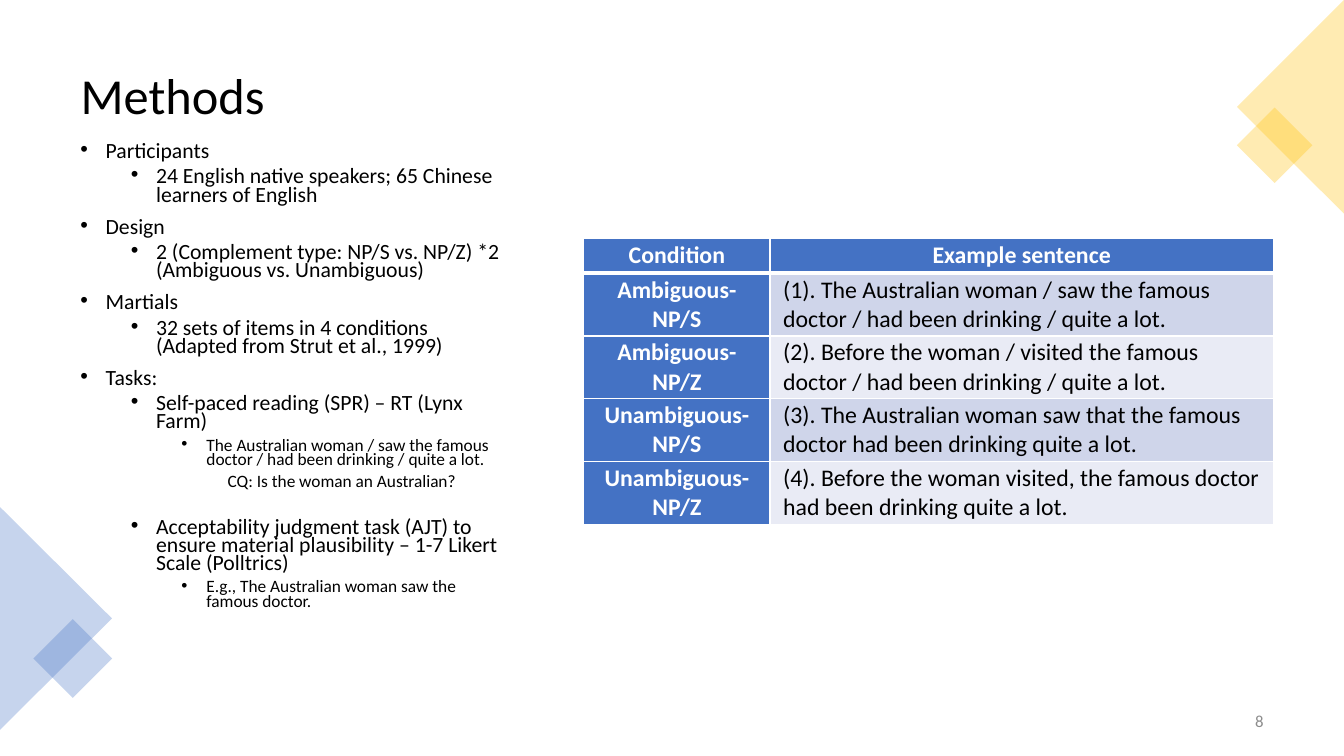
from dataclasses import dataclass

from lxml import etree
from pptx import Presentation
from pptx import util as u
from pptx.dml.color import RGBColor
from pptx.enum import shapes, text
from pptx.oxml.ns import qn


@dataclass(frozen=True)
class Theme:
    font: str = "Calibri"
    ink: str = "000000"
    paper: str = "FFFFFF"
    muted: str = "8C8C8C"
    blue: str = "4472C4"
    gold: str = "FFC000"
    bands: tuple = ("CFD5EA", "E9EBF5")
    title: float = 36
    topic: float = 15.5
    example: float = 12.4
    table: float = 17
    number: float = 12


@dataclass(frozen=True)
class Box:
    left: float
    top: float
    width: float
    height: float

    def share(self, x, y, w, h):
        """Return an inner box given in percent of this one."""
        return Box(self.left + self.width * x / 100, self.top + self.height * y / 100,
                   self.width * w / 100, self.height * h / 100)

    def emu(self):
        return [u.Inches(v) for v in (self.left, self.top, self.width, self.height)]


THEME = Theme()
SLIDE = Box(0, 0, 13.33, 7.5)
INDENT = 0.25
TOPIC, DETAIL, EXAMPLE, QUESTION = range(4)
OUTLINE = [
    (TOPIC, "Participants"),
    (DETAIL, "24 English native speakers; 65 Chinese learners of English"),
    (TOPIC, "Design"),
    (DETAIL, "2 (Complement type: NP/S vs. NP/Z) *2 (Ambiguous vs. Unambiguous)"),
    (TOPIC, "Martials"),
    (DETAIL, "32 sets of items in 4 conditions (Adapted from Strut et al., 1999)"),
    (TOPIC, "Tasks:"),
    (DETAIL, "Self-paced reading (SPR) – RT (Lynx Farm)"),
    (EXAMPLE, "The Australian woman / saw the famous doctor / had been drinking / quite a lot."),
    (QUESTION, "CQ: Is the woman an Australian?"),
    (DETAIL, "Acceptability judgment task (AJT) to ensure material plausibility "
             "– 1-7 Likert Scale (Polltrics)"),
    (EXAMPLE, "E.g., The Australian woman saw the famous doctor."),
]
CONDITIONS = [
    ("Condition", "Example sentence"),
    ("Ambiguous-NP/S",
     "(1). The Australian woman / saw the famous doctor / had been drinking / quite a lot."),
    ("Ambiguous-NP/Z",
     "(2). Before the woman / visited the famous doctor / had been drinking / quite a lot."),
    ("Unambiguous-NP/S",
     "(3). The Australian woman saw that the famous doctor had been drinking quite a lot."),
    ("Unambiguous-NP/Z",
     "(4). Before the woman visited, the famous doctor had been drinking quite a lot."),
]


def write(frame, words, size, color=THEME.ink, bold=False, align=text.PP_ALIGN.LEFT,
          spacing=1.0, before=0, indent=0, bullet=False):
    """Fill the frame's first paragraph, or add one after those already written."""
    paragraph = frame.paragraphs[0]
    if paragraph.runs:
        paragraph = frame.add_paragraph()
    paragraph.alignment = align
    paragraph.line_spacing = spacing
    paragraph.space_before = u.Pt(before)
    props = paragraph._p.get_or_add_pPr()
    props.set("marL", str(u.Inches(indent)))
    props.set("indent", str(-u.Inches(INDENT) if bullet else 0))
    if bullet:
        etree.SubElement(props, qn("a:buFont")).set("typeface", "Arial")
        etree.SubElement(props, qn("a:buChar")).set("char", "•")
    else:
        etree.SubElement(props, qn("a:buNone"))
    run = paragraph.add_run()
    run.text = words
    run.font.name = THEME.font
    run.font.size = u.Pt(size)
    run.font.bold = bold
    run.font.color.rgb = RGBColor.from_string(color)


def add_title(slide, box):
    title = slide.shapes.title
    title.left, title.top, title.width, title.height = box.emu()
    title.text_frame.vertical_anchor = text.MSO_ANCHOR.MIDDLE
    write(title.text_frame, "Methods", THEME.title, spacing=0.9)


def add_outline(slide, box):
    frame = slide.shapes.add_textbox(*box.emu()).text_frame
    frame.word_wrap = True
    previous = None
    for level, words in OUTLINE:
        if level == TOPIC:
            before = 10
        else:
            before = 21 if previous == QUESTION else 5
        write(frame, words, THEME.topic if level < EXAMPLE else THEME.example,
              align=text.PP_ALIGN.CENTER if level == QUESTION else text.PP_ALIGN.LEFT,
              spacing=0.7, before=before,
              indent=1 if level == QUESTION else INDENT * (1 + 2 * level),
              bullet=level != QUESTION)
        previous = level


def add_borders(cell, **widths):
    props = cell._tc.get_or_add_tcPr()
    for side in "LRTB":
        line = etree.SubElement(props, qn(f"a:ln{side}"), w=str(u.Pt(widths.get(side, 1))))
        fill = etree.SubElement(line, qn("a:solidFill"))
        etree.SubElement(fill, qn("a:srgbClr"), val=THEME.paper)


def add_conditions(slide, box):
    table = slide.shapes.add_table(len(CONDITIONS), 2, *box.emu()).table
    for column, ratio in zip(table.columns, (0.27, 0.73)):
        column.width = u.Inches(box.width * ratio)
    header_height = 0.35
    row_height = (box.height - header_height) / (len(CONDITIONS) - 1)
    for r, row in enumerate(CONDITIONS):
        table.rows[r].height = u.Inches(row_height if r else header_height)
        for c, words in enumerate(row):
            cell = table.cell(r, c)
            heading = r == 0 or c == 0
            add_borders(cell, T=3 if r == 1 else 1, B=3 if r == 0 else 1)
            cell.fill.solid()
            cell.fill.fore_color.rgb = RGBColor.from_string(
                THEME.blue if heading else THEME.bands[(r - 1) % 2])
            cell.margin_left = cell.margin_right = u.Inches(0.13)
            cell.margin_top = cell.margin_bottom = 0
            cell.vertical_anchor = text.MSO_ANCHOR.MIDDLE
            write(cell.text_frame, words, THEME.table,
                  color=THEME.paper if heading else THEME.ink, bold=heading,
                  align=text.PP_ALIGN.CENTER if heading else text.PP_ALIGN.LEFT)


def add_tint(slide, kind, center, width, height, turn, color):
    x, y = center
    tint = slide.shapes.add_shape(
        kind, *Box(x - width / 2, y - height / 2, width, height).emu())
    tint.rotation = turn
    tint.shadow.inherit = False
    tint.line.fill.background()
    tint.fill.solid()
    tint.fill.fore_color.rgb = RGBColor.from_string(color)
    color_node = tint._element.spPr.find(qn("a:solidFill"))[0]
    etree.SubElement(color_node, qn("a:alpha")).set("val", "30000")


def add_corner(slide, box, color, on_left):
    """Place a triangle with its base on the slide's edge, and a small diamond over it."""
    middle = box.left + box.width / 2, box.top + box.height / 2
    add_tint(slide, shapes.MSO_SHAPE.ISOSCELES_TRIANGLE, middle, box.height, box.width,
             90 if on_left else 270, color)
    diamond = (box.left + box.width * (0.65 if on_left else 0.35),
               box.top + box.height * 0.68)
    side = box.height / 4
    add_tint(slide, shapes.MSO_SHAPE.RECTANGLE, diamond, side, side, 45, color)


def add_number(slide, box):
    frame = slide.shapes.add_textbox(*box.emu()).text_frame
    frame.word_wrap = True
    frame.vertical_anchor = text.MSO_ANCHOR.MIDDLE
    write(frame, "8", THEME.number, color=THEME.muted, align=text.PP_ALIGN.RIGHT)


def main():
    deck = Presentation()
    deck.slide_width, deck.slide_height = SLIDE.emu()[2:]
    slide = deck.slides.add_slide(deck.slide_layouts[5])
    add_title(slide, SLIDE.share(5.25, 4.67, 89.5, 16.53))
    add_outline(slide, SLIDE.share(5.25, 18.4, 32.86, 64.13))
    add_corner(slide, SLIDE.share(0, 67.07, 8.33, 29.47), THEME.blue, on_left=True)
    add_corner(slide, SLIDE.share(92.05, 0, 7.95, 28.27), THEME.gold, on_left=False)
    add_number(slide, SLIDE.share(72.25, 92.67, 22.5, 5.33))
    add_conditions(slide, SLIDE.share(43.44, 31.47, 51.31, 37.87))
    deck.save("out.pptx")


if __name__ == "__main__":
    main()
